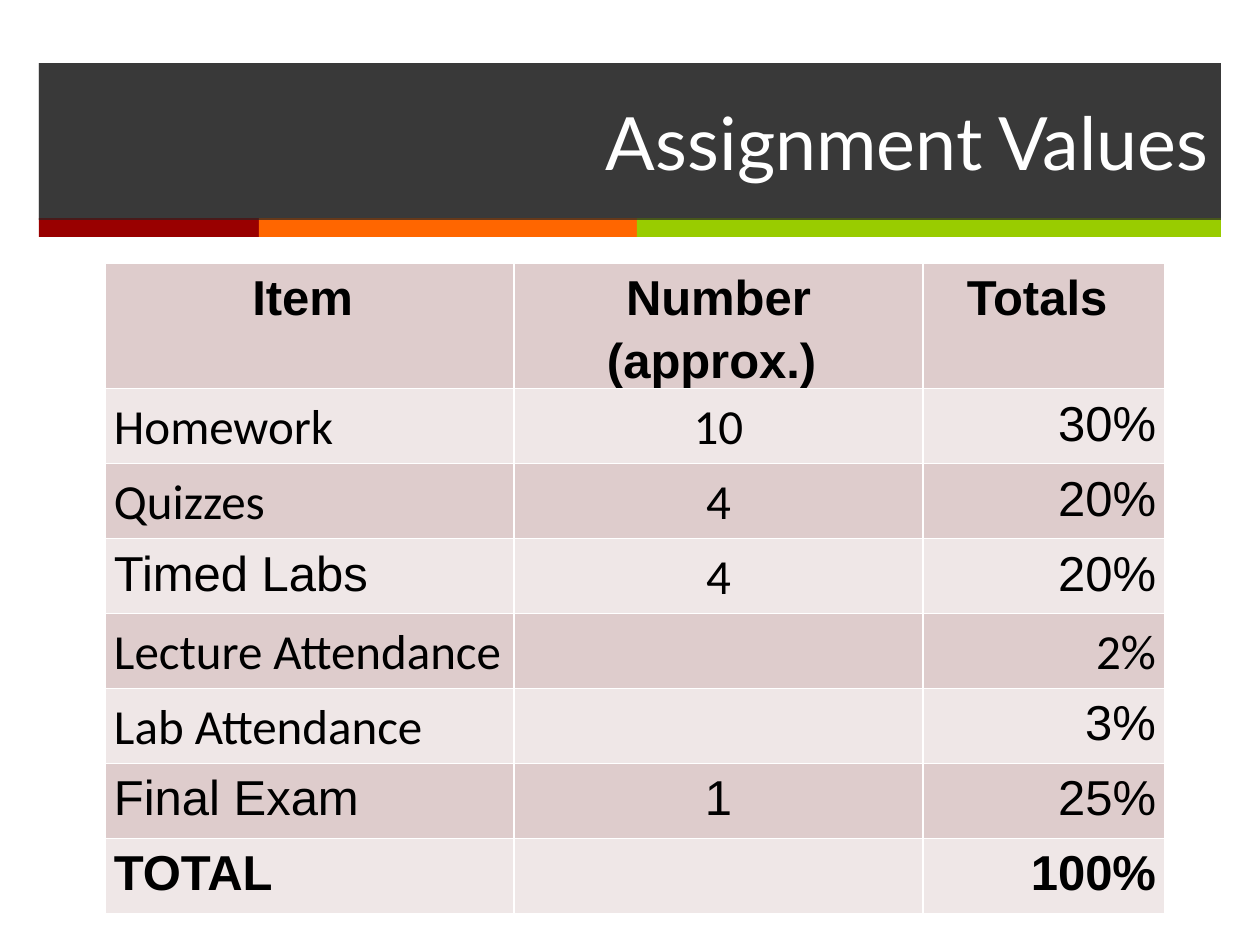
from lxml.etree import SubElement
from pptx import Presentation
from pptx.dml.color import RGBColor
from pptx.enum.shapes import MSO_SHAPE
from pptx.enum.text import MSO_ANCHOR, MSO_AUTO_SIZE, PP_ALIGN
from pptx.oxml.ns import qn
from pptx.util import Emu, Pt

PIXELS_PER_INCH = 126
CHARCOAL = RGBColor(0x26, 0x26, 0x26)
RED = RGBColor(0x99, 0x00, 0x00)
ORANGE = RGBColor(0xFF, 0x66, 0x00)
GREEN = RGBColor(0x99, 0xCC, 0x00)
WHITE = RGBColor(0xFF, 0xFF, 0xFF)
BLACK = RGBColor(0x00, 0x00, 0x00)
ROW_FILLS = (RGBColor(0xDE, 0xCC, 0xCC), RGBColor(0xEF, 0xE7, 0xE7))

BAND_LEFT, BAND_TOP, BAND_WIDTH, BAND_HEIGHT = 39, 63, 1182, 157
STRIPE_TOP, STRIPE_HEIGHT = 218, 19
STRIPES = ((RED, 220), (ORANGE, 378), (GREEN, 584))

COLUMN_WIDTHS = (409, 409, 242)
HEADER_HEIGHT, ROW_HEIGHT = 125, 75
HEADERS = ("Item ", "Number (approx.) ", "Totals ")
ALIGNMENTS = (PP_ALIGN.LEFT, PP_ALIGN.CENTER, PP_ALIGN.RIGHT)
ASSIGNMENTS = (
    ("Homework", "10", "30%"),
    ("Quizzes", "4", "20%"),
    ("Timed Labs", "4", "20%"),
    ("Lecture Attendance", "", "2%"),
    ("Lab Attendance", "", "3%"),
    ("Final Exam", "1", "25%"),
    ("TOTAL", "", "100%"),
)
CALIBRI_TEXTS = {"Homework", "10", "Quizzes", "4", "Lecture Attendance", "2%", "Lab Attendance"}


def px(length):
    return Emu(round(length * 914400 / PIXELS_PER_INCH))


def fill_band(shape):
    """Fill with charcoal at 70% opacity."""
    shape.fill.solid()
    shape.fill.fore_color.rgb = CHARCOAL
    color = shape.element.spPr.find(qn("a:solidFill")).find(qn("a:srgbClr"))
    SubElement(color, qn("a:alpha"), val="70000")


def add_rectangle(slide, left, top, width, height):
    shape = slide.shapes.add_shape(MSO_SHAPE.RECTANGLE, px(left), px(top), px(width), px(height))
    shape.shadow.inherit = False
    shape.line.fill.background()
    return shape


def add_stripes(slide):
    left = BAND_LEFT
    for color, width in STRIPES:
        stripe = add_rectangle(slide, left, STRIPE_TOP, width, STRIPE_HEIGHT)
        stripe.fill.solid()
        stripe.fill.fore_color.rgb = color
        left += width


def place_title(slide, text):
    title = slide.shapes.title
    title.left, title.top = px(BAND_LEFT), px(BAND_TOP)
    title.width, title.height = px(BAND_WIDTH), px(BAND_HEIGHT)
    fill_band(title)
    frame = title.text_frame
    frame.text = text
    frame.auto_size = MSO_AUTO_SIZE.NONE
    frame.vertical_anchor = MSO_ANCHOR.MIDDLE
    paragraph = frame.paragraphs[0]
    paragraph.alignment = PP_ALIGN.RIGHT
    paragraph.font.name = "Lato"
    paragraph.font.size = Pt(42)
    paragraph.font.color.rgb = WHITE
    slide.shapes.element.append(title.element)  # in front of the band


def add_borders(cell):
    properties = cell._tc.get_or_add_tcPr()
    for side in ("lnL", "lnR", "lnT", "lnB"):
        line = SubElement(properties, qn(f"a:{side}"), w=str(Pt(1)))
        SubElement(SubElement(line, qn("a:solidFill")), qn("a:srgbClr"), val=str(WHITE))


def format_cell(cell, text, alignment, bold, fill):
    add_borders(cell)
    cell.fill.solid()
    cell.fill.fore_color.rgb = fill
    cell.margin_left = cell.margin_right = px(9)
    cell.margin_top = cell.margin_bottom = 0
    if not text:
        return
    cell.text = text
    paragraph = cell.text_frame.paragraphs[0]
    paragraph.alignment = alignment
    paragraph.line_spacing = 1.15
    paragraph.space_after = Pt(10)
    font = paragraph.font
    font.name = "Calibri" if text in CALIBRI_TEXTS else "Arial"
    font.size = Pt(28)
    font.bold = bold
    font.color.rgb = BLACK


def add_assignment_table(slide):
    rows = (HEADERS,) + ASSIGNMENTS
    heights = [HEADER_HEIGHT] + [ROW_HEIGHT] * len(ASSIGNMENTS)
    table = slide.shapes.add_table(
        len(rows), len(HEADERS), px(105), px(263), px(sum(COLUMN_WIDTHS)), px(sum(heights))
    ).table
    table.first_row = table.horz_banding = False
    for column, width in zip(table.columns, COLUMN_WIDTHS):
        column.width = px(width)
    for row_index, (texts, height) in enumerate(zip(rows, heights)):
        table.rows[row_index].height = px(height)
        bold = row_index in (0, len(rows) - 1)
        for column_index, text in enumerate(texts):
            alignment = ALIGNMENTS[column_index] if row_index else PP_ALIGN.CENTER
            format_cell(table.cell(row_index, column_index), text, alignment, bold,
                        ROW_FILLS[row_index % 2])


def main():
    presentation = Presentation()
    presentation.slide_width, presentation.slide_height = px(1260), px(945)
    slide = presentation.slides.add_slide(presentation.slide_layouts[5])
    fill_band(add_rectangle(slide, BAND_LEFT, BAND_TOP, BAND_WIDTH, BAND_HEIGHT))
    add_stripes(slide)
    place_title(slide, "Assignment Values")
    add_assignment_table(slide)
    presentation.save("out.pptx")


if __name__ == "__main__":
    main()
